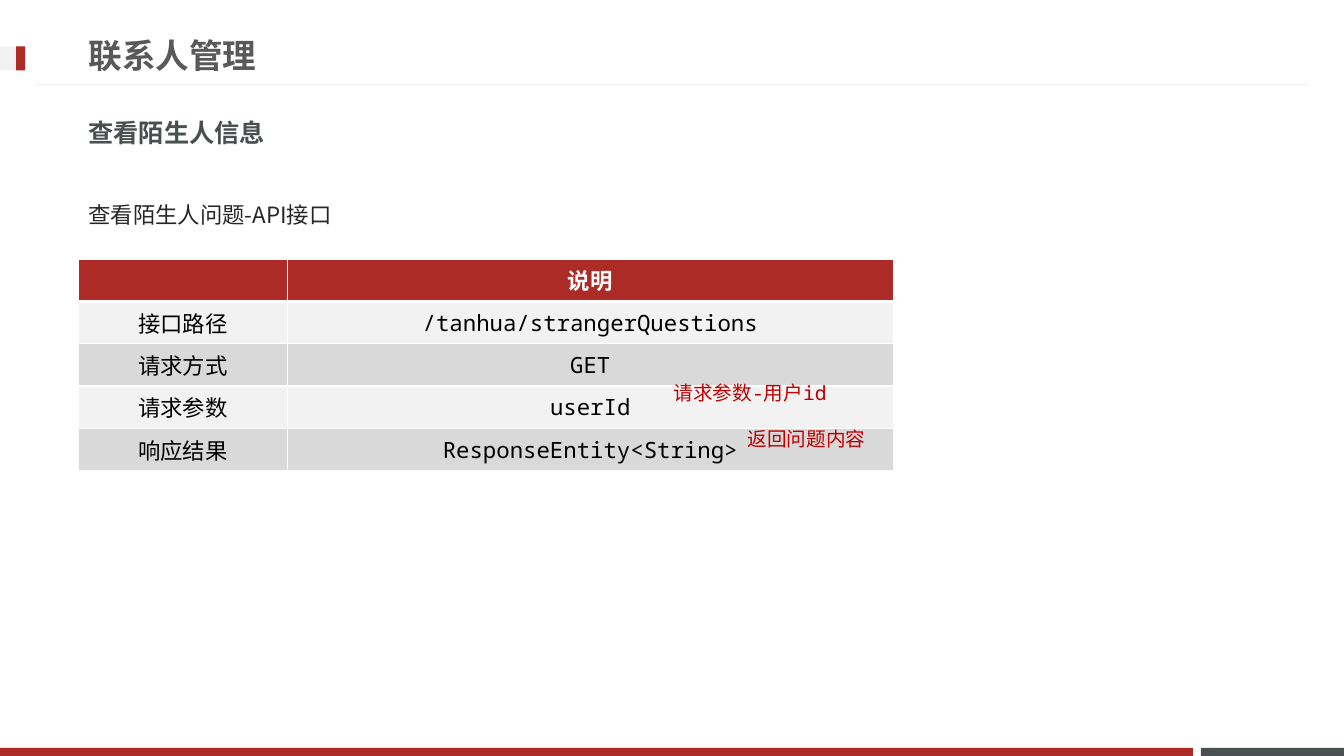
from dataclasses import dataclass

from lxml import etree
from pptx import Presentation
from pptx import util as u
from pptx.dml.color import RGBColor
from pptx.enum import shapes, text
from pptx.oxml import ns


@dataclass(frozen=True)
class Theme:
    red: str = "AD2B26"
    slate: str = "49504F"
    pale: str = "F2F2F2"
    band: str = "D9D9D9"
    white: str = "FFFFFF"
    black: str = "000000"
    title: str = "595959"
    body: str = "262626"
    note: str = "C00000"
    mono: str = "Noto Sans Mono"
    sans: str = "Noto Sans CJK JP"
    title_size: int = 24
    heading_size: int = 18
    body_size: int = 16
    note_size: int = 14
    thin: float = 0.75
    border: int = 1
    header_rule: int = 3


@dataclass(frozen=True)
class Area:
    """A rectangle in percent of the slide's width and height."""
    left: float
    top: float
    width: float
    height: float


@dataclass(frozen=True)
class Style:
    size: int
    color: str
    bold: bool = False
    font: str = Theme.mono


@dataclass(frozen=True)
class Bar:
    area: Area
    color: str


@dataclass(frozen=True)
class Label:
    words: str
    area: Area
    style: Style
    align: text.PP_ALIGN = text.PP_ALIGN.LEFT
    anchor: text.MSO_ANCHOR = text.MSO_ANCHOR.MIDDLE
    line_spacing: float = 1.0


THEME = Theme()
WIDTH, HEIGHT = u.Inches(13.33), u.Inches(7.5)
MARGIN = 5.85
ROW_HEIGHT = 5.6
COLUMNS = (15.53, 45.08)
TABLE_TOP = 34.27
NOTE = Style(THEME.note_size, THEME.note)

BARS = (
    Bar(Area(89.35, 98.93, 10.65, 1.07), THEME.slate),
    Bar(Area(0, 98.93, 88.75, 1.07), THEME.red),
    Bar(Area(0, 6.13, 1.88, 3.2), THEME.pale),
    Bar(Area(1.2, 6.13, 0.68, 3.2), THEME.red),
)
LABELS = (
    Label("联系人管理", Area(MARGIN, 3.47, 71.94, 7.6),
          Style(THEME.title_size, THEME.title, True)),
    Label("查看陌生人信息", Area(MARGIN, 13.73, 87.77, 7.6),
          Style(THEME.heading_size, THEME.slate, True)),
    Label("查看陌生人问题-API接口", Area(MARGIN, 24.13, 58.74, 7.6),
          Style(THEME.body_size, THEME.body, font=THEME.sans),
          anchor=text.MSO_ANCHOR.TOP, line_spacing=1.5),
)
NOTES = (
    Label("请求参数-用户id", Area(47.79, 49.73, 16.05, 4.53), NOTE, text.PP_ALIGN.CENTER),
    Label("返回问题内容", Area(51.99, 55.73, 16.05, 4.53), NOTE, text.PP_ALIGN.CENTER),
)
ROWS = (
    ("", "说明"),
    ("接口路径", "/tanhua/strangerQuestions"),
    ("请求方式", "GET"),
    ("请求参数", "userId"),
    ("响应结果", "ResponseEntity<String>"),
)


def across(share: float) -> int:
    return round(WIDTH * share / 100)


def down(share: float) -> int:
    return round(HEIGHT * share / 100)


def place(area: Area) -> tuple[int, int, int, int]:
    return across(area.left), down(area.top), across(area.width), down(area.height)


def style_text(para, style: Style) -> None:
    for span in para.runs:
        font = span.font
        font.name, font.size, font.bold = style.font, u.Pt(style.size), style.bold
        font.color.rgb = RGBColor.from_string(style.color)
        east_asian = etree.SubElement(span._r.get_or_add_rPr(), ns.qn("a:ea"))
        east_asian.set("typeface", THEME.sans)


def draw_bar(page, bar: Bar) -> None:
    shape = page.shapes.add_shape(shapes.MSO_SHAPE.RECTANGLE, *place(bar.area))
    shape.shadow.inherit = False
    shape.fill.solid()
    shape.fill.fore_color.rgb = RGBColor.from_string(bar.color)
    shape.line.fill.background()


def draw_title_rule(page) -> None:
    rule = page.shapes.add_connector(
        shapes.MSO_CONNECTOR.STRAIGHT, across(97.37), down(11.2), across(2.63), down(11.2))
    rule.line.color.rgb = RGBColor.from_string(THEME.pale)
    rule.line.width = u.Pt(THEME.thin)
    etree.SubElement(rule._element.spPr, ns.qn("a:effectLst"))


def draw_label(page, label: Label) -> None:
    frame = page.shapes.add_textbox(*place(label.area)).text_frame
    frame.word_wrap = True
    frame.vertical_anchor = label.anchor
    frame.text = label.words
    para = frame.paragraphs[0]
    para.alignment = label.align
    para.line_spacing = label.line_spacing
    style_text(para, label.style)


def draw_borders(cell, top: float, bottom: float) -> None:
    """Put white edges ahead of the cell's fill, in schema order."""
    properties = cell._tc.get_or_add_tcPr()
    edges = {"L": THEME.border, "R": THEME.border, "T": top, "B": bottom}
    for index, (side, points) in enumerate(edges.items()):
        edge = etree.Element(ns.qn(f"a:ln{side}"), w=str(u.Pt(points)))
        fill = etree.SubElement(edge, ns.qn("a:solidFill"))
        etree.SubElement(fill, ns.qn("a:srgbClr"), val=THEME.white)
        properties.insert(index, edge)


def draw_table(page) -> None:
    area = Area(MARGIN, TABLE_TOP, sum(COLUMNS), ROW_HEIGHT * len(ROWS))
    table = page.shapes.add_table(len(ROWS), len(COLUMNS), *place(area)).table
    table.first_row = table.horz_banding = False
    for column, share in zip(table.columns, COLUMNS):
        column.width = across(share)
    for row, words in enumerate(ROWS):
        table.rows[row].height = down(ROW_HEIGHT)
        header = row == 0
        color = THEME.red if header else THEME.pale if row % 2 else THEME.band
        style = Style(THEME.body_size, THEME.white if header else THEME.black, header)
        for column, word in enumerate(words):
            cell = table.cell(row, column)
            cell.text_frame.text = word
            cell.vertical_anchor = text.MSO_ANCHOR.MIDDLE
            para = cell.text_frame.paragraphs[0]
            para.alignment = text.PP_ALIGN.CENTER
            style_text(para, style)
            cell.fill.solid()
            cell.fill.fore_color.rgb = RGBColor.from_string(color)
            draw_borders(cell,
                         top=THEME.header_rule if row == 1 else THEME.border,
                         bottom=THEME.header_rule if header else THEME.border)


def main() -> None:
    deck = Presentation()
    deck.slide_width, deck.slide_height = WIDTH, HEIGHT
    page = deck.slides.add_slide(deck.slide_layouts[6])
    for bar in BARS:
        draw_bar(page, bar)
    draw_title_rule(page)
    for label in LABELS:
        draw_label(page, label)
    draw_table(page)
    for note in NOTES:
        draw_label(page, note)
    deck.save("out.pptx")


if __name__ == "__main__":
    main()
